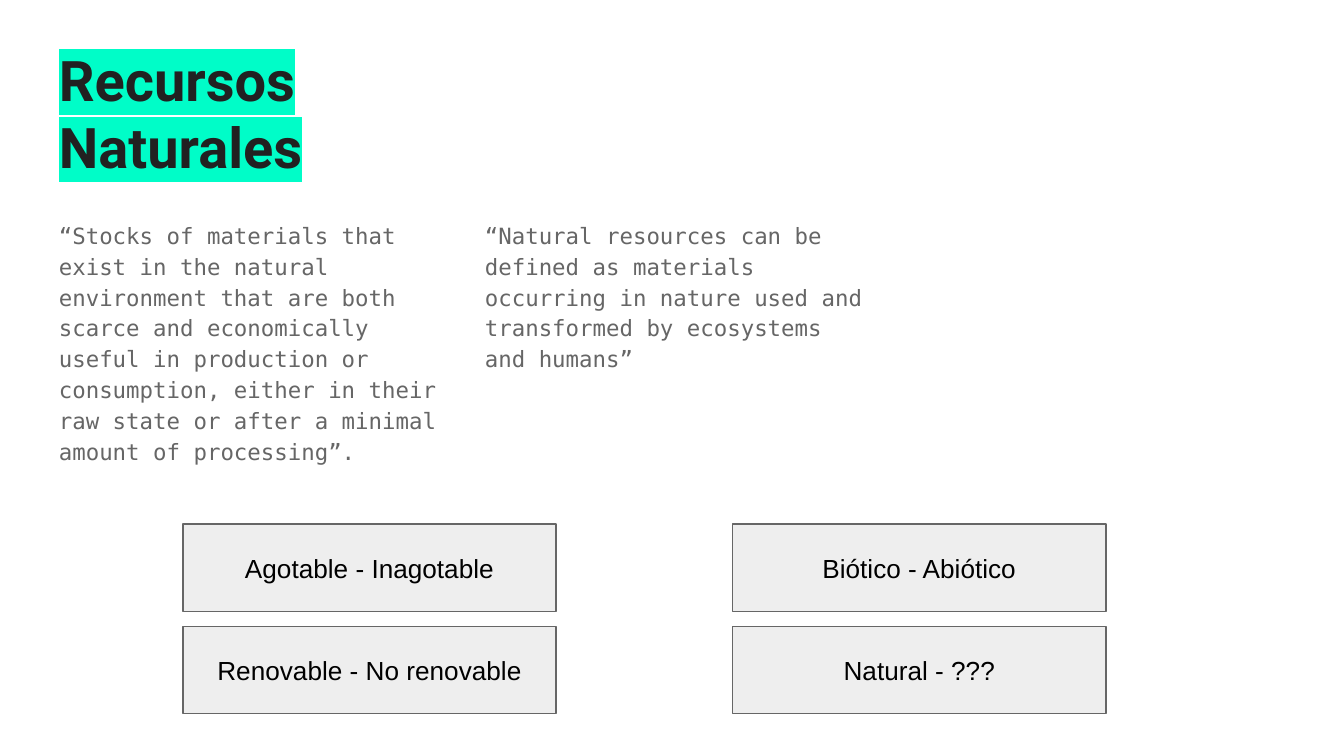
from lxml import etree
from pptx import Presentation
from pptx.dml.color import RGBColor
from pptx.enum import shapes, text
from pptx.oxml.ns import qn
from pptx.util import Pt

INSET = 7.2
QUOTES = [
    "“Stocks of materials that exist in the natural environment that are both "
    "scarce and economically useful in production or consumption, either in "
    "their raw state or after a minimal amount of processing”.",
    "“Natural resources can be defined as materials occurring in nature used "
    "and transformed by ecosystems and humans”",
]
PAIRS = [
    ["Agotable - Inagotable", "Biótico - Abiótico"],
    ["Renovable - No renovable", "Natural - ???"],
]


def rgb(value):
    return RGBColor.from_string(value)


def write(sp, content, font, size, color, anchor, bold=False):
    """Fill a shape with one run and return its paragraph and run."""
    tf = sp.text_frame
    tf.word_wrap = True
    tf.auto_size = text.MSO_AUTO_SIZE.NONE
    tf.vertical_anchor = anchor
    tf.margin_left = tf.margin_right = Pt(INSET)
    tf.margin_top = tf.margin_bottom = Pt(INSET)
    p = tf.paragraphs[0]
    r = p.add_run()
    r.text = content
    r.font.name = font
    r.font.size = Pt(size)
    r.font.bold = bold
    r.font.color.rgb = rgb(color)
    return p, r


def highlight(r, color):
    fill = r.font._element.find(qn("a:solidFill"))
    mark = etree.Element(qn("a:highlight"))
    etree.SubElement(mark, qn("a:srgbClr"), val=color)
    fill.addnext(mark)


def add_title(s, x, y, w, h):
    sp = s.shapes.add_textbox(Pt(x), Pt(y), Pt(w), Pt(h))
    p, r = write(sp, "Recursos Naturales", "Roboto", 30, "212121",
                 text.MSO_ANCHOR.BOTTOM, bold=True)
    highlight(r, "00FDC8")


def add_quotes(s, x, y, w, h, gap):
    for i, quote in enumerate(QUOTES):
        sp = s.shapes.add_textbox(Pt(x + i * (w + gap)), Pt(y), Pt(w), Pt(h))
        p, r = write(sp, quote, "DejaVu Sans Mono", 12, "666666",
                     text.MSO_ANCHOR.TOP)
        p.line_spacing = 1.15
        p.space_after = Pt(16)


def add_pairs(s, x, y, w, h, col_step, row_step):
    for row, labels in enumerate(PAIRS):
        for col, label in enumerate(labels):
            sp = s.shapes.add_shape(
                shapes.MSO_SHAPE.RECTANGLE, Pt(x + col * col_step),
                Pt(y + row * row_step), Pt(w), Pt(h))
            sp.shadow.inherit = False
            sp.fill.solid()
            sp.fill.fore_color.rgb = rgb("EEEEEE")
            sp.line.color.rgb = rgb("666666")
            sp.line.width = Pt(0.75)
            p, r = write(sp, label, "Arial", 14, "000000",
                         text.MSO_ANCHOR.MIDDLE)
            p.alignment = text.PP_ALIGN.CENTER


def main():
    prs = Presentation()
    prs.slide_width, prs.slide_height = Pt(720), Pt(405)
    s = prs.slides.add_slide(prs.slide_layouts[6])
    s.background.fill.solid()
    s.background.fill.fore_color.rgb = rgb("FFFFFF")
    add_title(s, 24.5, 44, 221, 59.5)
    add_quotes(s, 24.5, 109.5, 221, 250.5, gap=7.2)
    add_pairs(s, 98, 280.75, 200, 46.8, col_step=294.5, row_step=54.8)
    prs.save("out.pptx")


if __name__ == "__main__":
    main()
